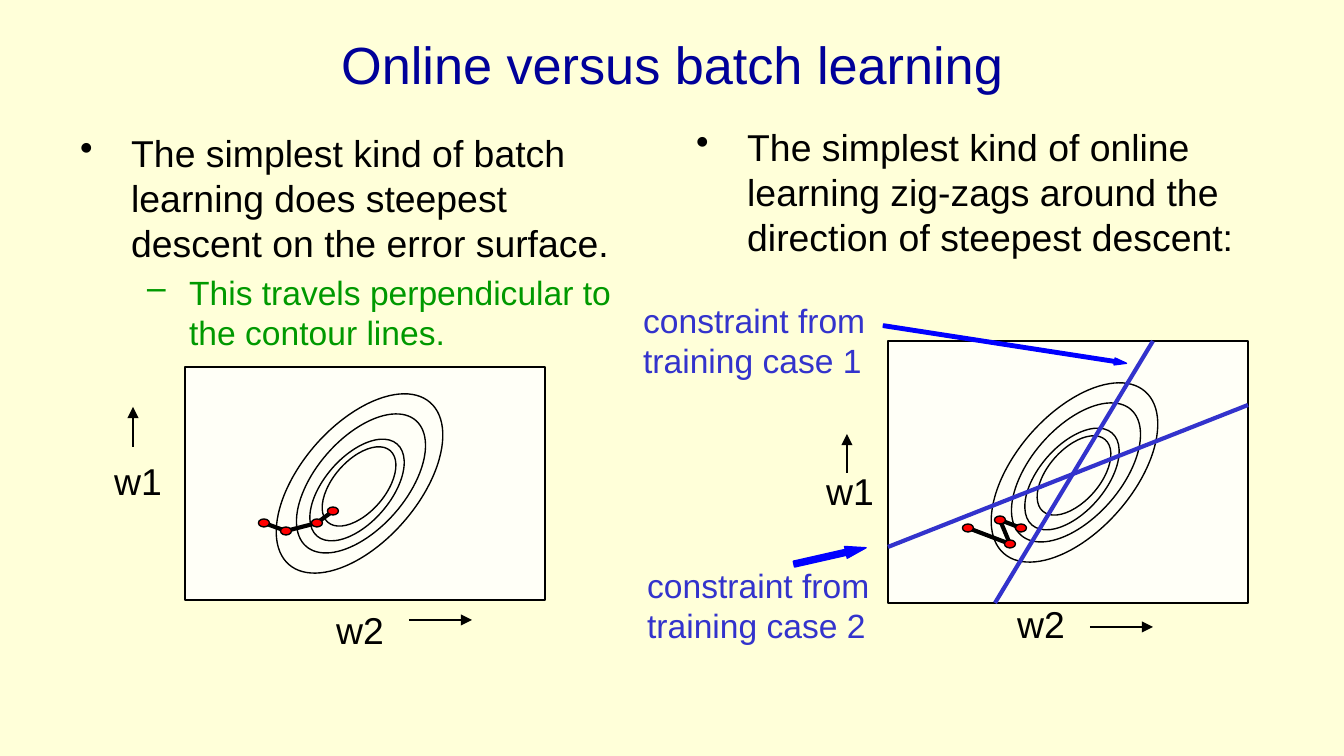
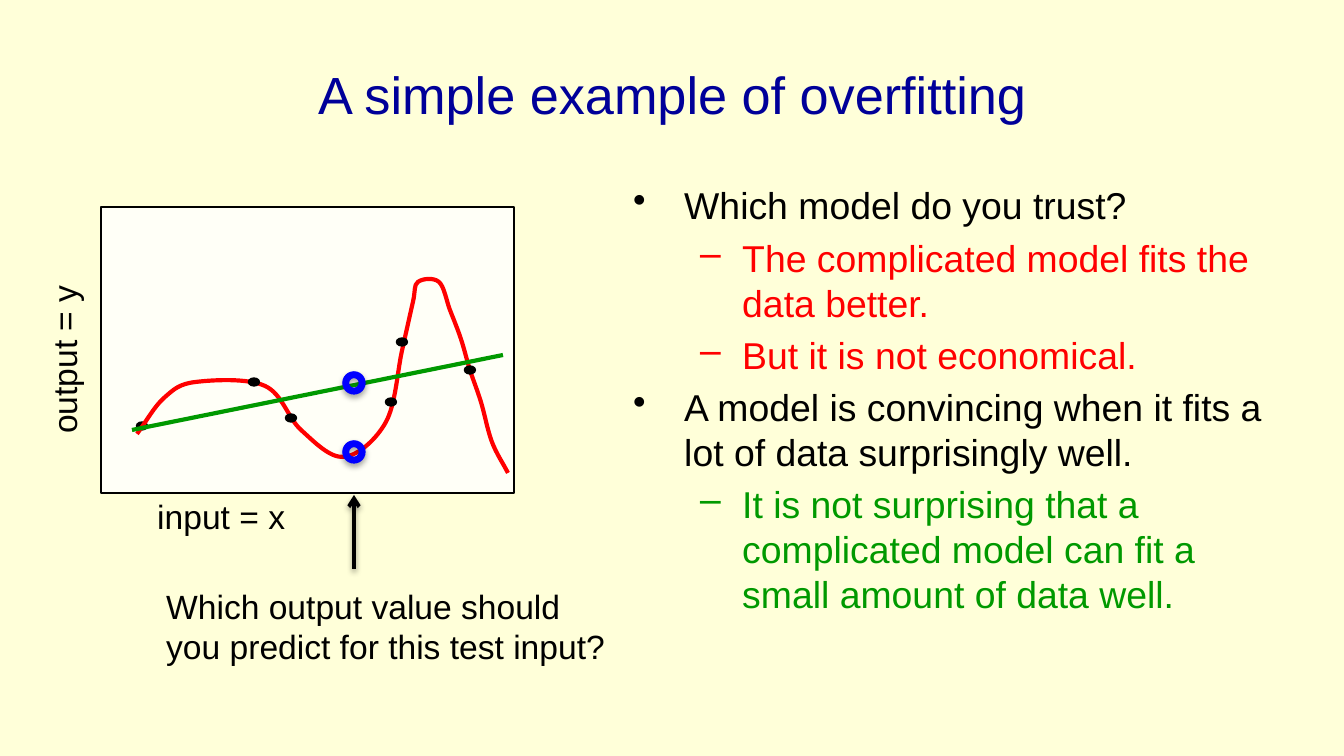
"""Build two slides on online versus batch learning and on overfitting."""
import dataclasses
import itertools

import pptx
import pptx.dml.color
import pptx.enum.shapes
import pptx.enum.text
import pptx.oxml
import pptx.oxml.ns
import pptx.util

SCALE = 914400 / 134.4
SLIDE_SIZE = (1344, 756)
SHAPES = pptx.enum.shapes.MSO_SHAPE


@dataclasses.dataclass(frozen=True)
class Theme:
    font: str = "Arial"
    title_size: int = 28
    body_size: int = 20
    note_size: int = 18
    thin: float = 0.75
    arrow: float = 1.5
    pointer: float = 2
    bold: float = 2.25
    background: str = "FFFFD9"
    panel: str = "FFFFF7"
    title: str = "000099"
    ink: str = "000000"
    green: str = "009900"
    red: str = "FF0000"
    blue: str = "0000FF"
    constraint: str = "3333CC"


THEME = Theme()

BULLETS = [("•", 51, -51), ("–", 109, -42)]
DOT_SIZE = (11, 8)
RING_SIZE = (22, 22)
LABEL_SIZE = (77, 59)
CONTOUR_TILT = 41.1
CONTOURS = [(301, 376, 117, 215), (316, 400, 90, 167), (324, 429, 66, 122), (333, 439, 52, 95)]

LEARNING = {
    "title": ("Online versus batch learning", 1),
    "bodies": [
        ((67, 124, 594, 499), [
            (0, "The simplest kind of batch learning does steepest descent on the error surface.",
             THEME.body_size, THEME.ink),
            (1, "This travels perpendicular to the contour lines.", THEME.note_size, THEME.green),
        ]),
        ((683, 118, 594, 499), [
            (0, "The simplest kind of online learning zig-zags around the direction of steepest descent:",
             THEME.body_size, THEME.ink),
        ]),
    ],
    "surfaces": [
        {"frame": (185, 367, 360, 233), "contour_shift": (0, 0),
         "labels": [("w1", 101, 452), ("w2", 323, 601)],
         "arrows": [(133, 447, 133, 407), (409, 620, 472, 620)],
         "steps": [(264, 523), (286, 531), (317, 523), (333, 511)]},
        {"frame": (888, 341, 360, 262), "contour_shift": (715, -11),
         "labels": [("w1", 813, 462), ("w2", 1004, 595)],
         "arrows": [(847, 473, 847, 434), (1090, 627, 1153, 627)],
         "steps": [(968, 528), (1010, 544), (1000, 520), (1021, 528)]},
    ],
    "constraints": [
        {"line": (1153, 341, 995, 603), "label": (630, 293, 251, 95),
         "text": ["constraint from", "training case 1"], "arrow": (882, 341, 246, 7), "tilt": 8.8},
        {"line": (888, 547, 1248, 405), "label": (634, 558, 251, 95),
         "text": ["constraint from", "training case 2"], "arrow": (793, 550, 74, 12), "tilt": 347.2},
    ],
}

OVERFITTING = {
    "title": ("A simple example of overfitting", 31),
    "body": ((620, 176, 657, 499), [
        (0, "Which model do you trust?", THEME.body_size, THEME.ink),
        (1, "The complicated model fits the data better.", THEME.body_size, THEME.red),
        (1, "But it is not economical.", THEME.body_size, THEME.red),
        (0, "A model is convincing when it fits a lot of data surprisingly well.",
         THEME.body_size, THEME.ink),
        (1, "It is not surprising that a complicated model can fit a small amount of data well.",
         THEME.body_size, THEME.green),
    ]),
    "frame": (101, 207, 413, 286),
    "data": [(142, 426), (254, 382), (291, 418), (391, 402), (402, 342), (470, 370)],
    "complicated_model": [
        (137, 434), (164, 398), (196, 382), (265, 386), (301, 430), (344, 457),
        (386, 422), (402, 351), (413, 302), (418, 282), (439, 282), (450, 310),
        (461, 339), (470, 370), (481, 402), (492, 442), (508, 473)],
    "simple_model": (132, 430, 503, 355),
    "predictions": [(354, 452), (354, 383)],
    "test_input": (354, 569, 354, 495),
    "notes": [
        ("Which output value should you predict for this test input?", (153, 579, 476, 95), 0),
        ("input = x", (144, 489, 206, 54), 0),
        ("output = y", (-39, 317, 206, 54), 270),
    ],
}


def px(length):
    return pptx.util.Emu(round(length * SCALE))


def place(box):
    return [px(length) for length in box]


def centred(point, size):
    return (point[0] - size[0] / 2, point[1] - size[1] / 2, *size)


def rgb(value):
    return pptx.dml.color.RGBColor.from_string(value)


def add_xml(parent, xml):
    namespace = pptx.oxml.ns.nsdecls("a")
    parent.append(pptx.oxml.parse_xml(xml.replace("/>", f" {namespace}/>", 1)
                                      if xml.count("<") == 1
                                      else xml.replace(">", f" {namespace}>", 1)))


def add_shadow(shape, alpha, distance):
    add_xml(shape._element.spPr, (
        f'<a:effectLst><a:outerShdw blurRad="39370" dist="{pptx.util.Pt(distance)}" dir="5400000">'
        f'<a:srgbClr val="{THEME.ink}"><a:alpha val="{alpha * 1000}"/></a:srgbClr>'
        '</a:outerShdw></a:effectLst>'))


def style_line(line, color, width):
    line.color.rgb = rgb(color)
    line.width = pptx.util.Pt(width)


def add_shape(page, kind, box, fill, line=THEME.ink, tilt=0):
    shape = page.shapes.add_shape(kind, *place(box))
    shape.shadow.inherit = False
    shape.fill.solid()
    shape.fill.fore_color.rgb = rgb(fill)
    style_line(shape.line, line, THEME.thin)
    shape.rotation = tilt
    return shape


def add_dot(page, point, fill):
    add_shape(page, SHAPES.OVAL, centred(point, DOT_SIZE), fill)


def add_line(page, ends, color, width, head=None, shadow=None):
    line = page.shapes.add_connector(pptx.enum.shapes.MSO_CONNECTOR.STRAIGHT, *place(ends))
    style_line(line.line, color, width)
    if head:
        add_xml(line.line._get_or_add_ln(), f'<a:tailEnd type="{head}"/>')
    if shadow:
        add_shadow(line, *shadow)
    else:
        add_xml(line._element.spPr, "<a:effectLst/>")


def style_para(para, text, size, color):
    para.text = text
    para.font.name = THEME.font
    para.font.size = pptx.util.Pt(size)
    para.font.color.rgb = rgb(color)


def add_text(page, box, lines, size, color, wrap=True, tilt=0):
    label = page.shapes.add_textbox(*place(box))
    label.rotation = tilt
    frame = label.text_frame
    frame.word_wrap = wrap
    for index, text in enumerate(lines):
        para = frame.add_paragraph() if index else frame.paragraphs[0]
        style_para(para, text, size, color)
    return frame


def add_body(page, box, items):
    frame = page.shapes.add_textbox(*place(box)).text_frame
    frame.word_wrap = True
    for index, (level, text, size, color) in enumerate(items):
        para = frame.add_paragraph() if index else frame.paragraphs[0]
        symbol, margin, indent = BULLETS[level]
        properties = para._p.get_or_add_pPr()
        properties.set("marL", str(px(margin)))
        properties.set("indent", str(px(indent)))
        add_xml(properties, f'<a:buChar char="{symbol}"/>')
        para.level = level
        para.space_before = pptx.util.Pt(size * 0.2)
        style_para(para, text, size, color)


def add_curve(page, points, color):
    start, *others = [place(point) for point in points]
    builder = page.shapes.build_freeform(*start)
    builder.add_line_segments(others, close=False)
    curve = builder.convert_to_shape()
    curve.shadow.inherit = False
    curve.fill.background()
    style_line(curve.line, color, THEME.bold)

    left, top = curve.left, curve.top
    knots = [(x - left, y - top) for x, y in [start, *others]]
    before = tuple(2 * a - b for a, b in zip(knots[0], knots[1]))
    after = tuple(2 * a - b for a, b in zip(knots[-1], knots[-2]))
    knots = [before, *knots, after]
    for index, segment in enumerate(curve._element.xpath(".//a:lnTo")):
        p0, p1, p2, p3 = knots[index:index + 4]
        leave = [b + (c - a) / 6 for a, b, c in zip(p0, p1, p2)]
        arrive = [b - (c - a) / 6 for a, b, c in zip(p1, p2, p3)]
        marks = "".join(f'<a:pt x="{round(x)}" y="{round(y)}"/>' for x, y in (leave, arrive, p2))
        parent = segment.getparent()
        add_xml(parent, f"<a:cubicBezTo>{marks}</a:cubicBezTo>")
        parent.remove(segment)


def add_page(deck, title, top):
    page = deck.slides.add_slide(deck.slide_layouts[6])
    page.background.fill.solid()
    page.background.fill.fore_color.rgb = rgb(THEME.background)
    frame = add_text(page, (67, top, 1210, 126), [title], THEME.title_size, THEME.title)
    frame.vertical_anchor = pptx.enum.text.MSO_ANCHOR.MIDDLE
    frame.paragraphs[0].alignment = pptx.enum.text.PP_ALIGN.CENTER
    return page


def add_surface(page, surface):
    add_shape(page, SHAPES.RECTANGLE, surface["frame"], THEME.panel)
    right, down = surface["contour_shift"]
    for left, top, width, height in CONTOURS:
        add_shape(page, SHAPES.OVAL, (left + right, top + down, width, height),
                  THEME.panel, tilt=CONTOUR_TILT)
    for text, left, top in surface["labels"]:
        add_text(page, (left, top, *LABEL_SIZE), [text], THEME.body_size, THEME.ink, wrap=False)
    for ends in surface["arrows"]:
        add_line(page, ends, THEME.ink, THEME.arrow, "triangle")
    for start, end in itertools.pairwise(surface["steps"]):
        add_line(page, (*start, *end), THEME.ink, THEME.bold)
    for point in surface["steps"]:
        add_dot(page, point, THEME.red)


def build_learning(deck):
    page = add_page(deck, *LEARNING["title"])
    for box, items in LEARNING["bodies"]:
        add_body(page, box, items)
    for surface in LEARNING["surfaces"]:
        add_surface(page, surface)
    for constraint in LEARNING["constraints"]:
        add_line(page, constraint["line"], THEME.constraint, THEME.bold)
        add_text(page, constraint["label"], constraint["text"], THEME.note_size,
                 THEME.constraint, wrap=False)
        arrow = add_shape(page, SHAPES.RIGHT_ARROW, constraint["arrow"], THEME.blue,
                          THEME.blue, constraint["tilt"])
        arrow.adjustments[1] = 1.72


def build_overfitting(deck):
    page = add_page(deck, *OVERFITTING["title"])
    add_body(page, *OVERFITTING["body"])
    add_shape(page, SHAPES.RECTANGLE, OVERFITTING["frame"], THEME.panel)
    first, *others = OVERFITTING["data"]
    add_dot(page, first, THEME.ink)
    add_curve(page, OVERFITTING["complicated_model"], THEME.red)
    add_line(page, OVERFITTING["simple_model"], THEME.green, THEME.bold)
    for point in others:
        add_dot(page, point, THEME.ink)
    add_line(page, OVERFITTING["test_input"], THEME.ink, THEME.pointer, "arrow", (38, 1.6))
    for point in OVERFITTING["predictions"]:
        ring = add_shape(page, SHAPES.DONUT, centred(point, RING_SIZE), THEME.blue, THEME.blue)
        ring._element.spPr.remove(ring._element.spPr.xpath("a:effectLst")[0])
        add_shadow(ring, 35, 1.8)
    for text, box, tilt in OVERFITTING["notes"]:
        add_text(page, box, [text], THEME.note_size, THEME.ink, tilt=tilt)


def main():
    deck = pptx.Presentation()
    deck.slide_width, deck.slide_height = place(SLIDE_SIZE)
    build_learning(deck)
    build_overfitting(deck)
    deck.save("out.pptx")


if __name__ == "__main__":
    main()
